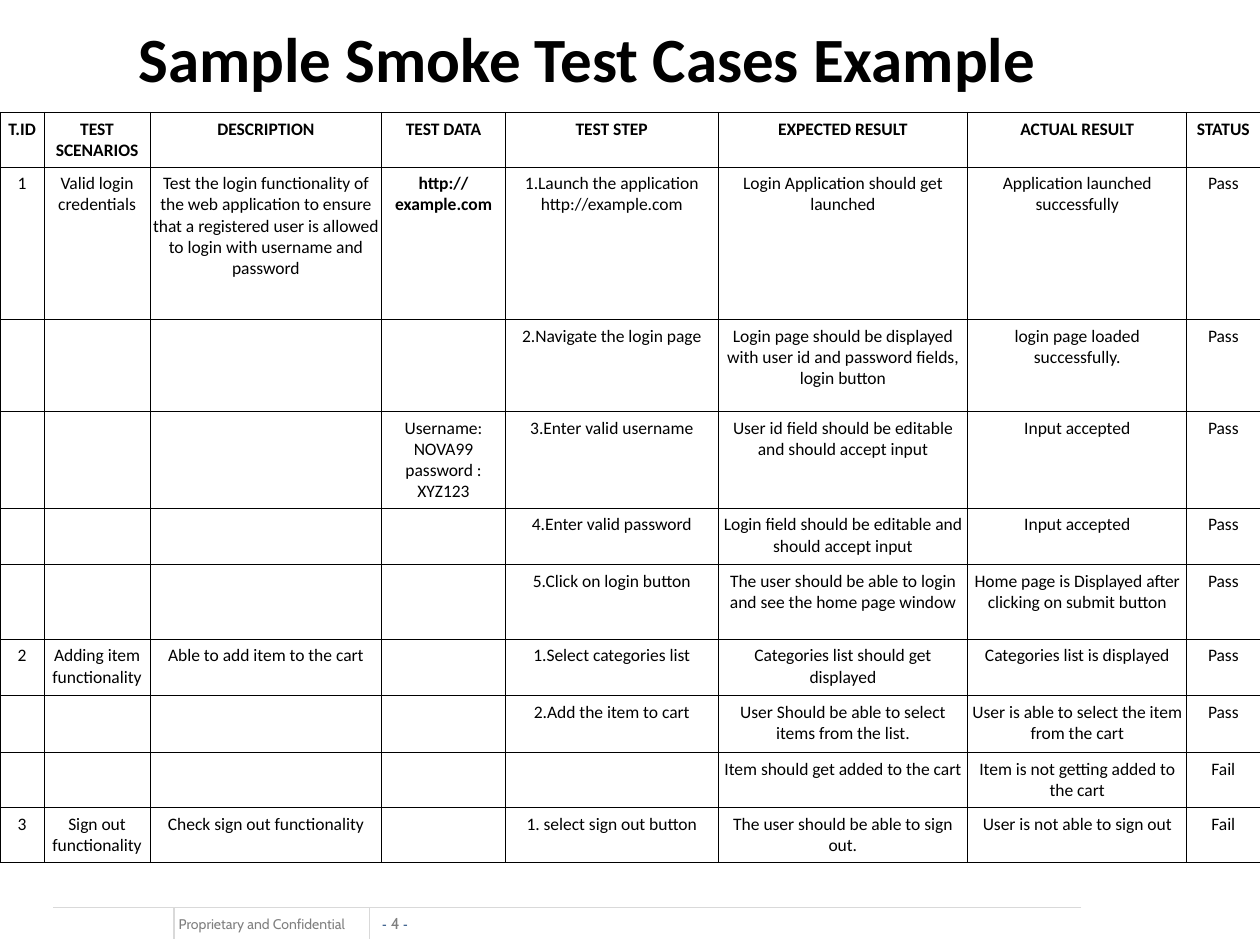
"""Build a slide with a table of smoke test cases."""
import pptx
import pptx.dml.color
import pptx.enum.shapes
import pptx.enum.text
import pptx.oxml.ns
import pptx.util
from lxml import etree
from pptx.util import Inches

BLACK = pptx.dml.color.RGBColor(0x00, 0x00, 0x00)
WHITE = pptx.dml.color.RGBColor(0xFF, 0xFF, 0xFF)
GREY = pptx.dml.color.RGBColor(0x7F, 0x7F, 0x7F)
RULE_GREY = pptx.dml.color.RGBColor(0xD9, 0xD9, 0xD9)
NAVY = pptx.dml.color.RGBColor(0x1F, 0x49, 0x7D)
ALIGN = pptx.enum.text.PP_ALIGN
ANCHOR = pptx.enum.text.MSO_ANCHOR

TITLE = "Sample Smoke Test Cases Example"
FOOTER = "Proprietary and Confidential"
PAGE_NUMBER = [("- ", "Arial", 8, NAVY), ("4 ", "Cabin", 9, GREY), ("-", "Arial", 8, NAVY)]
FOOTER_RULES = [(8.58, 7.2, 0.42, 7.2), (1.38, 7.2, 1.38, 7.45), (2.93, 7.2, 2.93, 7.45)]

HEADERS = ["T.ID", "TEST SCENARIOS", "DESCRIPTION", "TEST DATA", "TEST STEP",
           "EXPECTED RESULT", "ACTUAL RESULT", "STATUS"]
CASES = [
    ["1", "Valid login credentials",
     "Test the login functionality of the web application to ensure that a registered user "
     "is allowed to login with username and password",
     "http:// example.com", "1.Launch the application http://example.com",
     "Login Application should get launched", "Application launched successfully", "Pass"],
    ["", "", "", "", "2.Navigate the login page",
     "Login page should be displayed with user id and password fields, login button",
     "login page loaded successfully.", "Pass"],
    ["", "", "", "Username: NOVA99 password : XYZ123", "3.Enter valid username",
     "User id field should be editable and should accept input", "Input accepted", "Pass"],
    ["", "", "", "", "4.Enter valid password",
     "Login field should be editable and should accept input", "Input accepted", "Pass"],
    ["", "", "", "", "5.Click on login button",
     "The user should be able to login and see the home page window",
     "Home page is Displayed after clicking on submit button", "Pass"],
    ["2", "Adding item functionality", "Able to add item to the cart", "",
     "1.Select categories list", "Categories list should get displayed",
     "Categories list is displayed", "Pass"],
    ["", "", "", "", "2.Add the item to cart",
     "User Should be able to select items from the list.",
     "User is able to select the item from the cart", "Pass"],
    ["", "", "", "", "", "Item should get added to the cart",
     "Item is not getting added to the cart", "Fail"],
    ["3", "Sign out functionality", "Check sign out functionality", "",
     "1. select sign out button", "The user should be able to sign out.",
     "User is not able to sign out", "Fail"],
]
BOLD_DATA = "http:// example.com"
COLUMN_WIDTHS = [0.35, 0.84, 1.84, 0.98, 1.69, 1.98, 1.74, 0.58]
ROW_HEIGHTS = [0.39, 1.21, 0.73, 0.75, 0.45, 0.59, 0.45, 0.45, 0.39, 0.39]


def write(para, text, font="Calibri", size=10, color=BLACK, bold=False, align=ALIGN.CENTER):
    """Add a formatted span of text to a paragraph."""
    para.alignment = align
    span = para.add_run()
    span.text = text
    span.font.name = font
    span.font.size = pptx.util.Pt(size)
    span.font.color.rgb = color
    span.font.bold = bold


def add_box(page, place, margins, anchor):
    """Add an empty text box and return its first paragraph."""
    frame = page.shapes.add_textbox(*map(Inches, place)).text_frame
    frame.word_wrap = True
    frame.vertical_anchor = anchor
    (frame.margin_left, frame.margin_top,
     frame.margin_right, frame.margin_bottom) = map(Inches, margins)
    return frame.paragraphs[0]


def add_rule(page, ends):
    """Add one thin footer line without a shadow."""
    rule = page.shapes.add_connector(
        pptx.enum.shapes.MSO_CONNECTOR.STRAIGHT, *map(Inches, ends))
    rule.line.color.rgb = RULE_GREY
    rule.line.width = pptx.util.Pt(0.75)
    properties = rule.element.find(pptx.oxml.ns.qn("p:spPr"))
    etree.SubElement(properties, pptx.oxml.ns.qn("a:effectLst"))


def set_borders(cell):
    """Draw a thin black line on every side of a cell."""
    properties = cell._tc.get_or_add_tcPr()
    for side in ("lnL", "lnR", "lnT", "lnB"):
        border = etree.SubElement(properties, pptx.oxml.ns.qn("a:" + side),
                                  w=str(pptx.util.Pt(0.45)))
        fill = etree.SubElement(border, pptx.oxml.ns.qn("a:solidFill"))
        etree.SubElement(fill, pptx.oxml.ns.qn("a:srgbClr"), val=str(BLACK))


def add_case_table(page):
    """Add the table of test cases."""
    rows = [HEADERS] + CASES
    table = page.shapes.add_table(
        len(rows), len(HEADERS), Inches(0), Inches(0.89),
        Inches(10), Inches(sum(ROW_HEIGHTS))).table
    for column, width in zip(table.columns, COLUMN_WIDTHS):
        column.width = Inches(width)
    for row, height, texts in zip(table.rows, ROW_HEIGHTS, rows):
        row.height = Inches(height)
        for cell, text in zip(row.cells, texts):
            cell.margin_left = cell.margin_right = Inches(0.02)
            cell.margin_top = cell.margin_bottom = Inches(0.05)
            set_borders(cell)
            cell.fill.solid()
            cell.fill.fore_color.rgb = WHITE
            if text:
                write(cell.text_frame.paragraphs[0], text,
                      bold=texts is HEADERS or text == BOLD_DATA)


def main():
    """Build and save the deck."""
    deck = pptx.Presentation()
    deck.slide_width, deck.slide_height = Inches(10), Inches(7.5)
    page = deck.slides.add_slide(deck.slide_layouts[6])

    footer = add_box(page, (1.32, 7.22, 1.71, 0.24), (0.1, 0.05, 0.1, 0.05), ANCHOR.TOP)
    write(footer, FOOTER, font="Cabin", size=8, color=GREY, align=ALIGN.LEFT)
    number = add_box(page, (2.76, 7.23, 0.75, 0.17), (0, 0, 0, 0), ANCHOR.BOTTOM)
    for text, font, size, color in PAGE_NUMBER:
        write(number, text, font=font, size=size, color=color)
    for ends in FOOTER_RULES:
        add_rule(page, ends)

    title = add_box(page, (0, 0.02, 9, 0.87), (1.1, 0.05, 0.1, 0.05), ANCHOR.MIDDLE)
    write(title, TITLE, size=36, bold=True, align=ALIGN.LEFT)
    add_case_table(page)
    deck.save("out.pptx")


if __name__ == "__main__":
    main()
